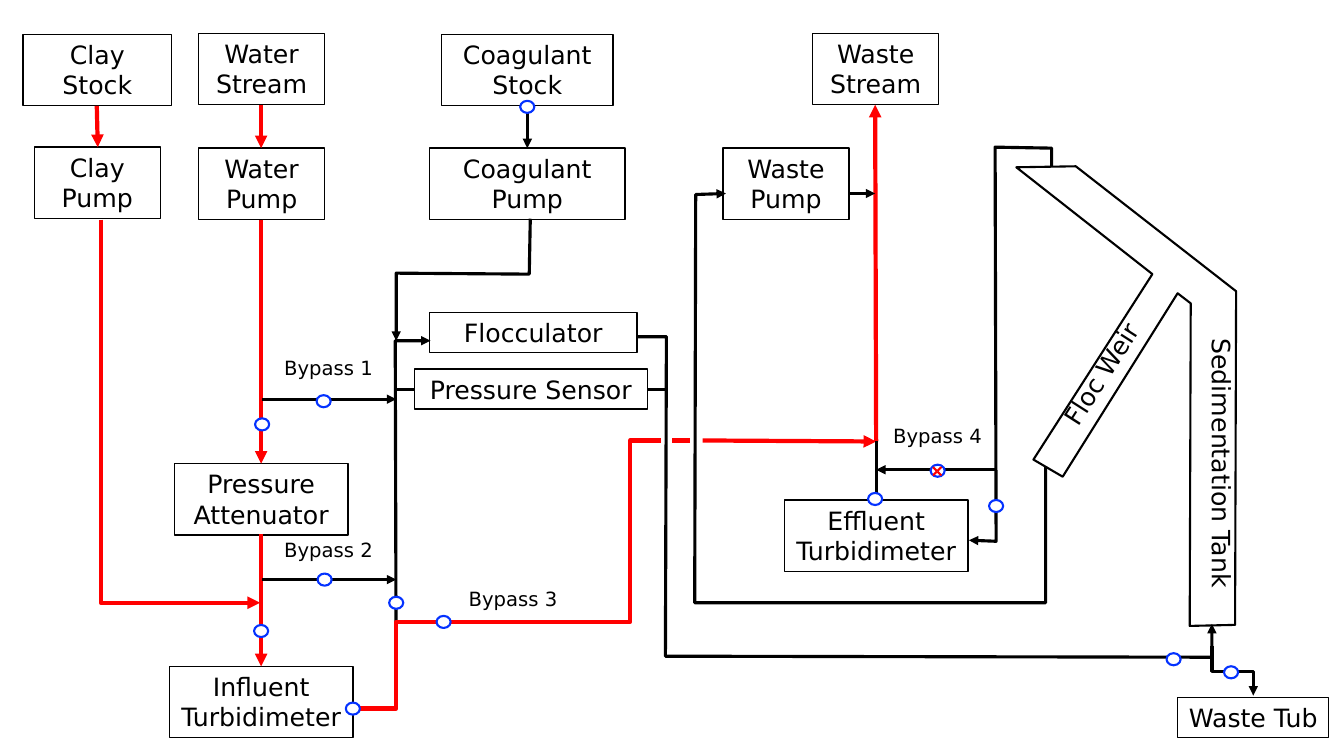
from lxml.etree import SubElement
from pptx import Presentation
from pptx.dml.color import RGBColor
from pptx.enum.shapes import MSO_CONNECTOR, MSO_SHAPE
from pptx.enum.text import MSO_ANCHOR, PP_ALIGN
from pptx.oxml.ns import qn
from pptx.util import Inches, Pt

BLACK = RGBColor(0x00, 0x00, 0x00)
WHITE = RGBColor(0xFF, 0xFF, 0xFF)
RED = RGBColor(0xFF, 0x00, 0x00)
VALVE_BLUE = RGBColor(0x04, 0x32, 0xFF)
CROSS_BLUE = RGBColor(0x5B, 0x9B, 0xD5)

GRID = Inches(0.1)  # one column or row; the slide is 133.3 columns by 75 rows
ONE_LINE, TWO_LINES = 4, 7.1  # box heights in rows
VALVE_WIDTH, VALVE_HEIGHT = 1.4, 1.2
RED_PIPE, BLACK_PIPE = (RED, 3), (BLACK, 2.25)


def cells(*counts):
    """Turn counts of columns or rows into lengths."""
    return [round(count * GRID) for count in counts]


def write(shape, text, size, alignment, wrap=True):
    """Put one black paragraph at the top of a shape."""
    frame = shape.text_frame
    frame.text = text
    paragraph = frame.paragraphs[0]
    paragraph.alignment = alignment
    paragraph.font.color.rgb = BLACK
    formats = {
        frame: {"word_wrap": wrap, "vertical_anchor": MSO_ANCHOR.TOP},
        paragraph.font: {"name": "DejaVu Sans", "size": Pt(size)},
    }
    for target, values in formats.items():
        for name, value in values.items():
            setattr(target, name, value)


presentation = Presentation()
presentation.slide_width, presentation.slide_height = cells(133.3, 75)
slide = presentation.slides.add_slide(presentation.slide_layouts[6])
shapes = slide.shapes

# Process boxes: text, left, top, width, height
boxes = [
    ("Clay Stock", 2.3, 3.4, 14.7, TWO_LINES),
    ("Water Stream", 19.7, 3.3, 12.5, TWO_LINES),
    ("Coagulant Stock", 43.8, 3.4, 17, TWO_LINES),
    ("Waste Stream", 80.6, 3.3, 12.5, TWO_LINES),
    ("Clay Pump", 3.4, 14.6, 12.5, TWO_LINES),
    ("Water Pump", 19.7, 14.7, 12.5, TWO_LINES),
    ("Coagulant Pump", 42.6, 14.7, 19.4, TWO_LINES),
    ("Waste Pump", 71.7, 14.7, 12.5, TWO_LINES),
    ("Flocculator", 42.6, 31, 20.6, ONE_LINE),
    ("Pressure Sensor", 41.1, 36.6, 23.1, ONE_LINE),
    ("Pressure Attenuator", 17.3, 46, 17.2, TWO_LINES),
    ("Effluent Turbidimeter", 77.8, 49.6, 18.2, TWO_LINES),
    ("Influent Turbidimeter", 16.8, 66.1, 18.2, TWO_LINES),
    ("Waste Tub", 116.8, 69.2, 15, ONE_LINE),
]
for text, *place in boxes:
    box = shapes.add_shape(MSO_SHAPE.RECTANGLE, *cells(*place))
    box.shadow.inherit = False
    box.fill.solid()
    box.fill.fore_color.rgb = WHITE
    box.line.color.rgb = BLACK
    box.line.width = Pt(1)
    write(box, text, 18, PP_ALIGN.CENTER)

# Sideways names inside the tank: text, rotation, left, top, width, height
tank_names = [
    ("Sedimentation Tank", 0, 118.2, 29.8, 5, 32.3),
    ("Floc Weir", 212.6, 107.1, 27.7, 5, 19.3),
]
for text, rotation, *place in tank_names:
    tank_name = shapes.add_textbox(*cells(*place))
    tank_name.rotation = rotation
    write(tank_name, text, 18, PP_ALIGN.CENTER)
    tank_name.text_frame._txBody.bodyPr.set("vert", "vert")

tank_outline = [
    (100.8, 16.6), (106.7, 16.5), (122.6, 28.9), (122.5, 62), (118, 62.1),
    (118.1, 30.1), (116.8, 29.1), (105.4, 47.3), (102.5, 45.6), (114.3, 27.2),
]
corners = [cells(*point) for point in tank_outline]
builder = shapes.build_freeform(*corners[0])
builder.add_line_segments(corners[1:], close=True)
tank = builder.convert_to_shape()
tank.shadow.inherit = False
tank.fill.background()
tank.line.color.rgb = BLACK
tank.line.width = Pt(1.5)

# Pipes: (colour, width), whether an arrow ends it, points
pipes = [
    (RED_PIPE, True, [(25.9, 10.4), (25.9, 14.7)]),
    (RED_PIPE, True, [(25.9, 21.8), (25.9, 46)]),
    (BLACK_PIPE, True, [(26, 39.6), (39.3, 39.6)]),
    (RED_PIPE, True, [(9.6, 10.5), (9.7, 14.6)]),
    (BLACK_PIPE, True, [(52.3, 10.5), (52.3, 14.7)]),
    (RED_PIPE, True, [(86.9, 43.8), (86.8, 10.4)]),
    (RED_PIPE, True, [(25.9, 53), (25.9, 66.1)]),
    (BLACK_PIPE, True, [(104.3, 16.5), (104.3, 14.7), (98.7, 14.6), (98.8, 53.7), (96.1, 53.6)]),
    (BLACK_PIPE, True, [(63.2, 33.4), (66.1, 33.4), (66, 65.1), (120.2, 65.2), (120.2, 61.9)]),
    (BLACK_PIPE, True, [(103.7, 46.3), (103.7, 59.8), (68.9, 59.8), (69, 19.3), (72, 19.2)]),
    (BLACK_PIPE, True, [(98.8, 46.6), (86.9, 46.6)]),
    (BLACK_PIPE, True, [(39.3, 70.3), (39.2, 33.8), (42.7, 33.8)]),
    (BLACK_PIPE, True, [(26, 57.5), (39.3, 57.5)]),
    (BLACK_PIPE, True, [(84.2, 19.2), (86.8, 19.2)]),
    (BLACK_PIPE, True, [(120.2, 64.1), (120.2, 66.6), (124.3, 66.6), (124.3, 69)]),
    (BLACK_PIPE, False, [(39.4, 38.6), (41.1, 38.6)]),
    (BLACK_PIPE, False, [(64.3, 38.6), (66.2, 38.6)]),
    (RED_PIPE, True, [(10, 21.8), (10, 59.8), (25.8, 59.8)]),
    (BLACK_PIPE, True, [(52.6, 21.7), (52.5, 27.2), (39.3, 27.1), (39.3, 33.8)]),
    (RED_PIPE, False, [(35, 70.3), (39.3, 70.3), (39.3, 61.7), (62.5, 61.7), (62.5, 43.7), (65.6, 43.7)]),
    (RED_PIPE, False, [(66.7, 43.7), (68.4, 43.7)]),
    (RED_PIPE, True, [(69.7, 43.7), (86.9, 43.8)]),
    (BLACK_PIPE, False, [(86.9, 43.8), (86.9, 49.6)]),
]
for (color, width), has_arrow, points in pipes:
    start, *bends = [cells(*point) for point in points]
    if len(bends) == 1:
        pipe = shapes.add_connector(MSO_CONNECTOR.STRAIGHT, *start, *bends[0])
    else:
        builder = shapes.build_freeform(*start)
        builder.add_line_segments(bends, close=False)
        pipe = builder.convert_to_shape()
        pipe.fill.background()
    pipe.line.color.rgb = color
    pipe.line.width = Pt(width)
    properties = pipe._element.spPr
    if has_arrow:
        SubElement(properties.find(qn("a:ln")), qn("a:tailEnd"), type="triangle")
    SubElement(properties, qn("a:effectLst"))

bypasses = [(27.2, 34.8), (27.2, 52.9), (45.5, 57.7), (87.6, 41.6)]
for number, (left, top) in enumerate(bypasses, start=1):
    label = shapes.add_textbox(*cells(left, top, 10.9, 3.4))
    write(label, f"Bypass {number}", 14, PP_ALIGN.LEFT, wrap=False)

# Valves by their top left corner
valves = [
    (25.3, 41.5), (31.4, 39.2), (31.5, 56.9), (43.3, 61.1), (38.6, 59.2),
    (121.4, 66.1), (115.7, 64.8), (92.3, 46.1), (98.1, 49.6), (25.2, 62),
    (51.6, 10), (34.3, 69.7), (86.1, 48.9),
]
symbols = [
    (MSO_SHAPE.OVAL, (*corner, VALVE_WIDTH, VALVE_HEIGHT), WHITE, VALVE_BLUE, 1.5)
    for corner in valves
]
symbols.append((MSO_SHAPE.MATH_MULTIPLY, (92.2, 46, 1.5, 1.5), CROSS_BLUE, RED, 0.75))
for kind, place, fill, outline, width in symbols:
    symbol = shapes.add_shape(kind, *cells(*place))
    symbol.shadow.inherit = False
    symbol.fill.solid()
    symbol.fill.fore_color.rgb = fill
    symbol.line.color.rgb = outline
    symbol.line.width = Pt(width)
closed_mark = symbol
closed_mark.adjustments[0] = 0.07

presentation.save("out.pptx")
